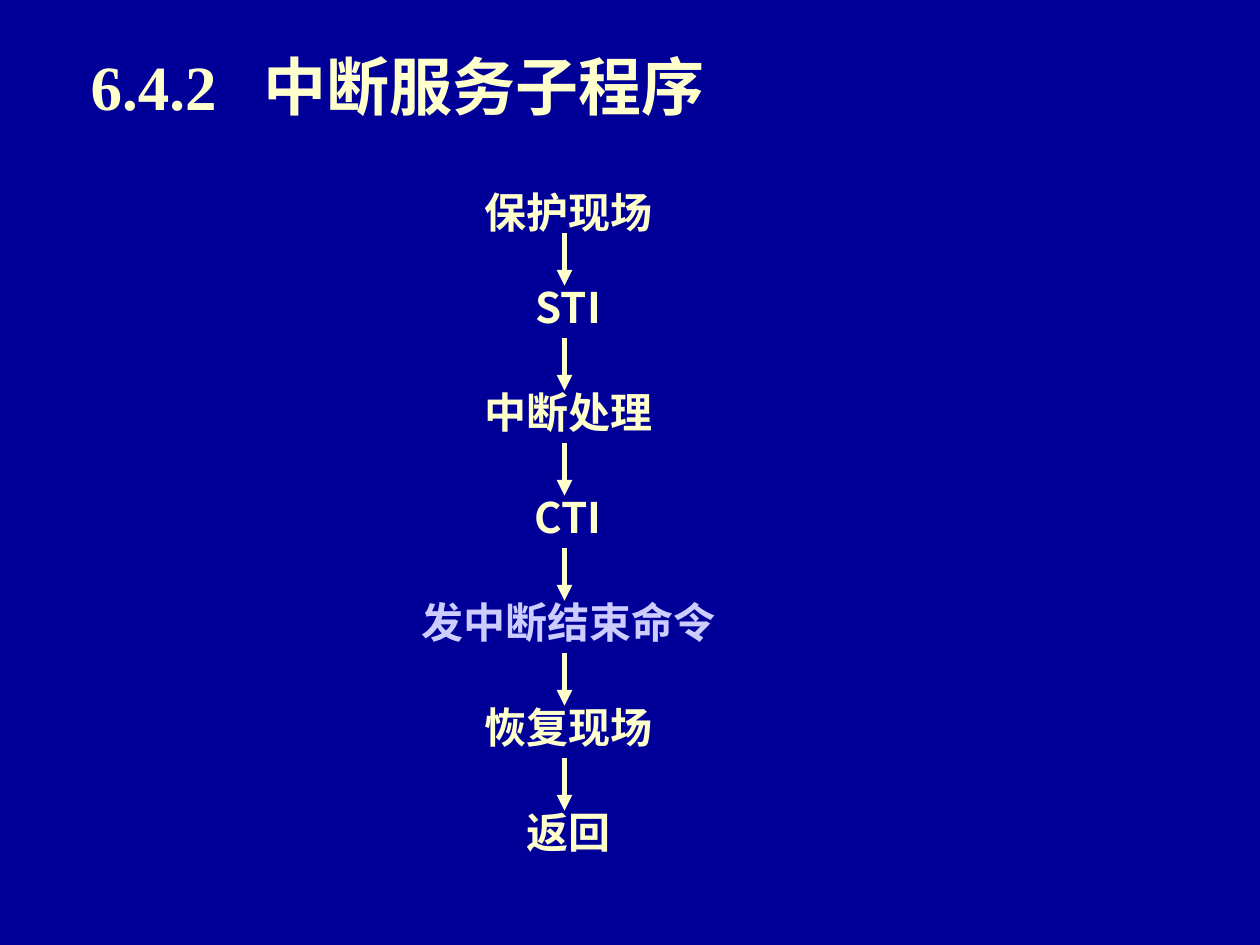
from lxml.etree import SubElement
from pptx import Presentation
from pptx.dml.color import RGBColor
from pptx.enum.shapes import MSO_CONNECTOR as Connector
from pptx.enum.text import MSO_ANCHOR as Anchor, MSO_AUTO_SIZE as AutoSize, PP_ALIGN as Align
from pptx.oxml.ns import qn
from pptx.util import Inches, Pt

COLORS = {"background": "000099", "cream": "FFFFCC", "lavender": "CCCCFF"}
CJK_FONT = "Noto Sans CJK SC"
CENTER = 4.51
ARROW_X = 4.48
PITCH = 5 / 6
STEPS = [
    ("保护现场", 1.56, "cream"),
    ("STI", 0.8, "cream"),
    ("中断处理", 1.56, "cream"),
    ("CTI", 0.8, "cream"),
    ("发中断结束命令", 2.56, "lavender"),
    ("恢复现场", 1.56, "cream"),
    ("返回", 0.92, "cream"),
]


class FlowSlide:
    def __init__(self, slide):
        self.slide = slide
        fill = slide.background.fill
        fill.solid()
        fill.fore_color.rgb = self.color("background")

    def color(self, key):
        return RGBColor.from_string(COLORS[key])

    def text(self, words, box, size, font, color, frame_format, align):
        shape = self.slide.shapes.add_textbox(*map(Inches, box))
        frame = shape.text_frame
        for name, value in frame_format.items():
            setattr(frame, name, value)
        paragraph = frame.paragraphs[0]
        paragraph.alignment = align
        run = paragraph.add_run()
        run.text = words
        for name, value in {"size": Pt(size), "name": font, "bold": True}.items():
            setattr(run.font, name, value)
        run.font.color.rgb = self.color(color)
        SubElement(run.font._element, qn("a:ea"), typeface=CJK_FONT)
        return paragraph

    def title(self, number, heading):
        frame_format = {
            "word_wrap": True,
            "vertical_anchor": Anchor.MIDDLE,
            "margin_left": Inches(0.25),
        }
        paragraph = self.text(
            f"{number}\t{heading}", (0.47, 0.3, 5.36, 0.75),
            36, "Times New Roman", "cream", frame_format, Align.LEFT,
        )
        tabs = SubElement(paragraph._p.get_or_add_pPr(), qn("a:tabLst"))
        SubElement(tabs, qn("a:tab"), pos=str(Inches(1.37)), algn="l")

    def step(self, words, top, width, color):
        frame_format = {"word_wrap": False, "auto_size": AutoSize.SHAPE_TO_FIT_TEXT}
        self.text(
            words, (CENTER - width / 2, top, width, 0.5),
            24, CJK_FONT, color, frame_format, Align.CENTER,
        )

    def arrow(self, top):
        ends = (ARROW_X, top, ARROW_X, top + PITCH / 2)
        arrow = self.slide.shapes.add_connector(Connector.STRAIGHT, *map(Inches, ends))
        arrow.line.width = Pt(3)
        arrow.line.color.rgb = self.color("cream")
        SubElement(arrow.line._get_or_add_ln(), qn("a:tailEnd"), type="triangle")
        SubElement(arrow._element.spPr, qn("a:effectLst"))


def main():
    deck = Presentation()
    deck.slide_width, deck.slide_height = Inches(10), Inches(7.5)
    flow = FlowSlide(deck.slides.add_slide(deck.slide_layouts[6]))
    flow.title("6.4.2", "中断服务子程序")
    for index, (words, width, color) in enumerate(STEPS):
        top = 1.35 + index * PITCH if index else 1.43
        flow.step(words, top, width, color)
    for index in range(len(STEPS) - 1):
        flow.arrow(1.85 + index * PITCH)
    deck.save("out.pptx")


if __name__ == "__main__":
    main()
